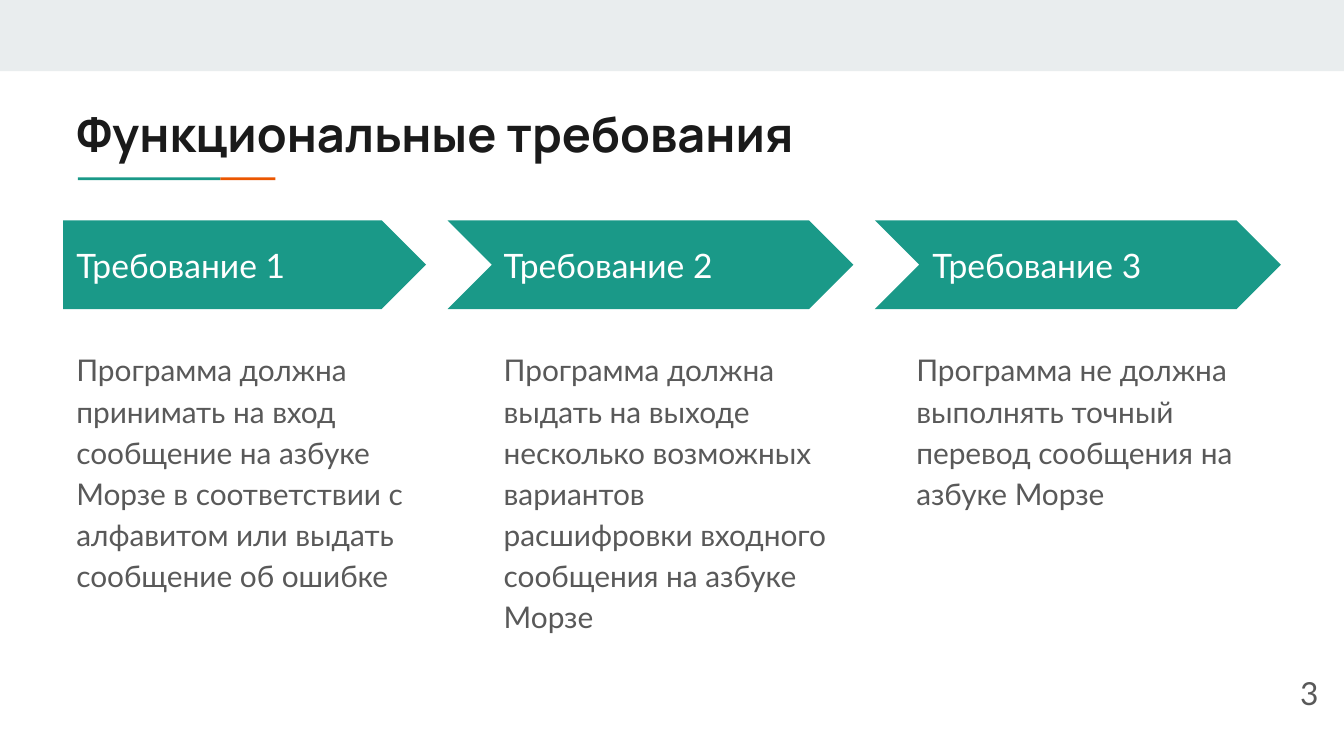
from pptx import Presentation
from pptx.dml.color import RGBColor
from pptx.enum.shapes import MSO_SHAPE
from pptx.enum.text import MSO_ANCHOR, PP_ALIGN
from pptx.util import Inches, Pt

TEAL, ORANGE, BAND = "1A9988", "EB5600", "E9EDEE"
INK, GREY, WHITE = "1A1A1A", "595959", "FFFFFF"

TITLE = "Функциональные требования"
PAGE = "3"
# heading, body, arrow left, heading left, body left
REQUIREMENTS = [
    ("Требование 1",
     "Программа должна принимать на вход сообщение на азбуке Морзе "
     "в соответствии с алфавитом или выдать сообщение об ошибке",
     0.47, 0.47, 0.47),
    ("Требование 2",
     "Программа должна выдать на выходе несколько возможных вариантов "
     "расшифровки входного сообщения на азбуке Морзе",
     3.33, 3.65, 3.65),
    ("Требование 3",
     "Программа не должна выполнять точный перевод сообщения на азбуке Морзе",
     6.51, 6.84, 6.72),
]


def add_block(s, kind, box, color):
    sp = s.shapes.add_shape(kind, *map(Inches, box))
    sp.shadow.inherit = False
    sp.fill.solid()
    sp.fill.fore_color.rgb = RGBColor.from_string(color)
    sp.line.fill.background()
    return sp


def add_text(s, text, box, size, color, font="Lato", bold=False,
             anchor=MSO_ANCHOR.TOP, align=PP_ALIGN.LEFT):
    """Add a one-paragraph text box and return its paragraph."""
    tf = s.shapes.add_textbox(*map(Inches, box)).text_frame
    tf.word_wrap = True
    tf.vertical_anchor = anchor
    tf.margin_left = tf.margin_right = Inches(0.1)
    tf.margin_top = tf.margin_bottom = Inches(0.1)
    p = tf.paragraphs[0]
    p.alignment = align
    r = p.add_run()
    r.text = text
    r.font.name = font
    r.font.size = Pt(size)
    r.font.bold = bold
    r.font.color.rgb = RGBColor.from_string(color)
    return p


prs = Presentation()
prs.slide_width = Inches(10)
prs.slide_height = Inches(10 * 9 / 16)
s = prs.slides.add_slide(prs.slide_layouts[6])

add_block(s, MSO_SHAPE.RECTANGLE, (0, 0, 10, 0.53), BAND)
add_block(s, MSO_SHAPE.RECTANGLE, (0.58, 1.32, 1.06, 0.02), TEAL)
add_block(s, MSO_SHAPE.RECTANGLE, (1.64, 1.32, 0.41, 0.02), ORANGE)
add_text(s, TITLE, (0.47, 0.67, 8.41, 0.59), 26, INK, font="Manrope", bold=True)

for i, (heading, body, arrow_x, heading_x, body_x) in enumerate(REQUIREMENTS):
    kind, width = (MSO_SHAPE.CHEVRON, 3.02) if i else (MSO_SHAPE.PENTAGON, 2.7)
    arrow = add_block(s, kind, (arrow_x, 1.64, width, 0.66), TEAL)
    arrow.adjustments[0] = 0.5
    add_text(s, heading, (heading_x, 1.8, 2.47, 0.34), 18, WHITE,
             anchor=MSO_ANCHOR.MIDDLE)
    p = add_text(s, body, (body_x, 2.48, 2.7, 2.9), 16, GREY)
    p.line_spacing = 1.15
    p.space_after = Pt(8)

add_text(s, PAGE, (9.31, 4.94, 0.6, 0.43), 17, GREY,
         anchor=MSO_ANCHOR.MIDDLE, align=PP_ALIGN.RIGHT)

prs.save("out.pptx")
